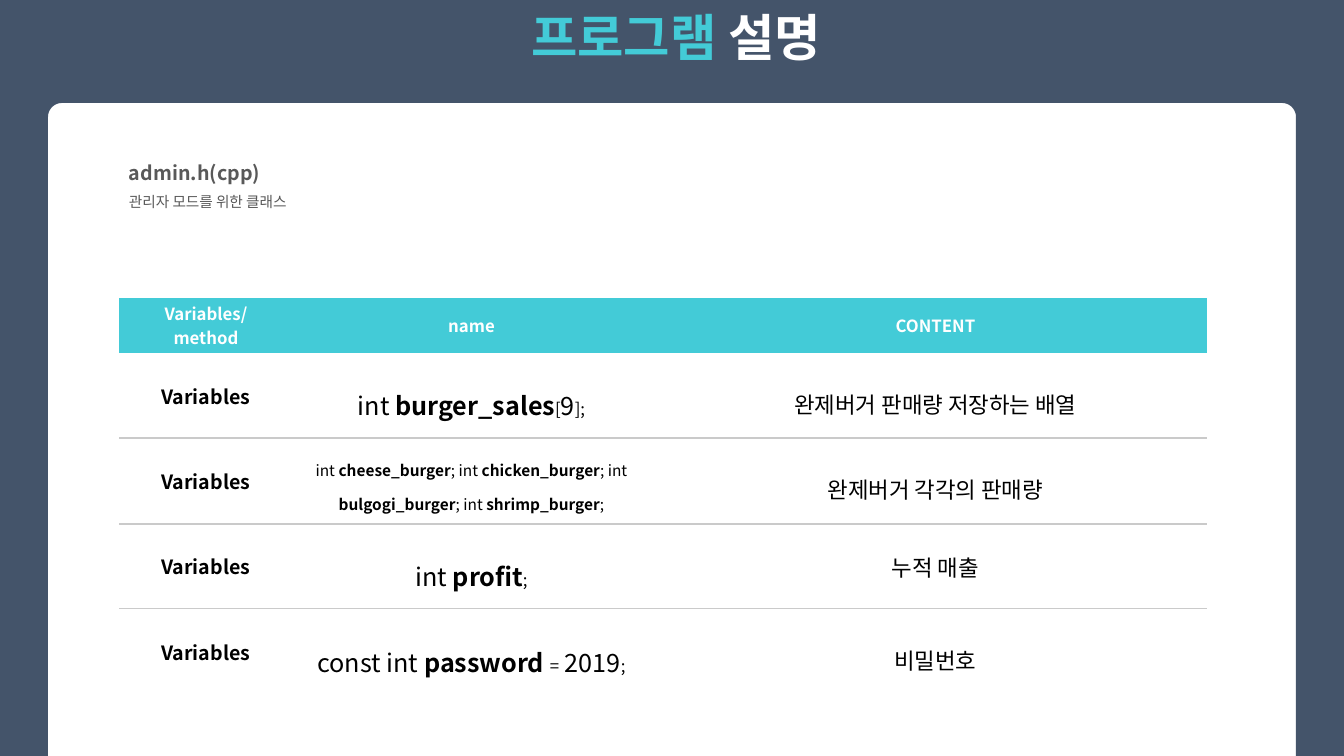
from math import cos, radians, sin

from lxml.etree import SubElement
from pptx import Presentation
from pptx.dml.color import RGBColor
from pptx.enum.text import MSO_ANCHOR, MSO_AUTO_SIZE, PP_ALIGN
from pptx.oxml import parse_xml
from pptx.oxml.ns import nsdecls, qn
from pptx.util import Pt

FONT = "Noto Sans CJK KR"
NAVY, TEAL, WHITE, BLACK, GREY, RULE = (
    "44546A", "43CBD7", "FFFFFF", "000000", "595959", "CACACA")
NO_STYLE = "{2D5ABB26-0587-4C30-8999-92F81FD0307C}"

TITLE = [("프로그램 ", TEAL), ("설명", WHITE)]
INTRO = [("admin.h(cpp)", 14, True), ("관리자 모드를 위한 클래스", 10.5, False)]
HEADER = [["Variables/", "method"], ["name"], ["CONTENT"]]
# kind, runs of the name (text, size, bold), content, line spacing of the content
ROWS = [
    ("Variables",
     [("int ", 18, False), ("burger_sales", 18, True), ("[", 12, False),
      ("9", 18, False), ("];", 12, False)],
     "완제버거 판매량 저장하는 배열", 1.5),
    ("Variables",
     [("int ", 11, False), ("cheese_burger", 11, True), ("; int ", 11, False),
      ("chicken_burger", 11, True), ("; int ", 11, False),
      ("bulgogi_burger", 11, True), ("; int ", 11, False),
      ("shrimp_burger", 11, True), (";", 11, False)],
     "완제버거 각각의 판매량", 1.5),
    ("Variables",
     [("int ", 18, False), ("profit", 18, True), (";", 12, False)],
     "누적 매출", 1),
    ("Variables",
     [("const int ", 18, False), ("password ", 18, True), ("=", 12, False),
      (" 2019", 18, False), (";", 12, False)],
     "비밀번호", 1.5),
]

SLIDE_W, SLIDE_H = 1344, 756
CARD_LEFT, CARD_TOP, CARD_RADIUS = 48, 103, 14
TABLE_LEFT, TABLE_TOP = 119, 298
COL_WIDTHS = [160, 371, 557]
ROW_HEIGHTS = [55, 85, 86, 85, 86]


def px(n):
    return round(n * 914400 / 100.8)


def rgb(value):
    return RGBColor.from_string(value)


def add_run(p, text, size=12, color=BLACK, bold=False):
    r = p.add_run()
    r.text = text
    r.font.size = Pt(size)
    r.font.bold = bold
    r.font.name = FONT
    r.font.color.rgb = rgb(color)
    SubElement(r.font._element, qn("a:ea"), typeface=FONT)


def set_frame(tf, wrap, top, bottom):
    tf.word_wrap = wrap
    tf.auto_size = MSO_AUTO_SIZE.NONE
    tf.margin_left = tf.margin_right = px(10)
    tf.margin_top, tf.margin_bottom = px(top), px(bottom)


def fill_cell(cell, paragraphs, spacing=1, pad=5):
    """Write paragraphs, each a list of (text, format) pairs, centred in a cell."""
    cell.vertical_anchor = MSO_ANCHOR.MIDDLE
    cell.margin_left, cell.margin_right = px(24), px(10)
    cell.margin_top = cell.margin_bottom = px(pad)
    tf = cell.text_frame
    for i, runs in enumerate(paragraphs):
        p = tf.add_paragraph() if i else tf.paragraphs[0]
        p.alignment = PP_ALIGN.CENTER
        p.line_spacing = spacing
        for text, style in runs:
            add_run(p, text, **style)


def rule_below(cell):
    cell._tc.get_or_add_tcPr().insert(0, parse_xml(
        f'<a:lnB {nsdecls("a")} w="12700"><a:solidFill>'
        f'<a:srgbClr val="{RULE}"/></a:solidFill></a:lnB>'))


def add_surround(slide):
    """Navy area around a white card with rounded top corners."""
    right = SLIDE_W - CARD_LEFT
    points = [(SLIDE_W, 0), (SLIDE_W, SLIDE_H), (right, SLIDE_H)]
    for center_x, start in ((right - CARD_RADIUS, 0),
                            (CARD_LEFT + CARD_RADIUS, 90)):
        for angle in range(start, start + 91, 10):
            points.append((center_x + CARD_RADIUS * cos(radians(angle)),
                           CARD_TOP + CARD_RADIUS * (1 - sin(radians(angle)))))
    points += [(CARD_LEFT, SLIDE_H), (0, SLIDE_H)]
    builder = slide.shapes.build_freeform(0, 0)
    builder.add_line_segments([(px(x), px(y)) for x, y in points])
    sp = builder.convert_to_shape()
    sp.shadow.inherit = False
    sp.fill.solid()
    sp.fill.fore_color.rgb = rgb(NAVY)
    sp.line.fill.background()


def add_title(slide):
    sp = slide.shapes.title
    sp.left, sp.top, sp.width, sp.height = px(513), 0, px(326), px(72)
    tf = sp.text_frame
    set_frame(tf, False, 0, 0)
    tf.vertical_anchor = MSO_ANCHOR.MIDDLE
    p = tf.paragraphs[0]
    p.alignment = PP_ALIGN.CENTER
    for text, color in TITLE:
        add_run(p, text, size=36, color=color, bold=True)


def add_intro(slide):
    sp = slide.shapes.add_textbox(px(119), px(144), px(651), px(84))
    tf = sp.text_frame
    set_frame(tf, True, 5, 5)
    for i, (text, size, bold) in enumerate(INTRO):
        p = tf.add_paragraph() if i else tf.paragraphs[0]
        p.line_spacing = 1.5
        add_run(p, text, size=size, color=GREY, bold=bold)


def add_members(slide):
    frame = slide.shapes.add_table(
        len(ROW_HEIGHTS), len(COL_WIDTHS), px(TABLE_LEFT), px(TABLE_TOP),
        px(sum(COL_WIDTHS)), px(sum(ROW_HEIGHTS)))
    table = frame.table
    table.horz_banding = False
    table._tbl.tblPr.find(qn("a:tableStyleId")).text = NO_STYLE
    for col, width in zip(table.columns, COL_WIDTHS):
        col.width = px(width)
    for row, height in zip(table.rows, ROW_HEIGHTS):
        row.height = px(height)

    for c, lines in enumerate(HEADER):
        cell = table.cell(0, c)
        fill_cell(cell, [[(line, dict(color=WHITE, bold=True))] for line in lines],
                  pad=3)
        cell.fill.solid()
        cell.fill.fore_color.rgb = rgb(TEAL)

    for r, (kind, name, content, spacing) in enumerate(ROWS, 1):
        name_runs = [(text, dict(size=size, bold=bold)) for text, size, bold in name]
        fill_cell(table.cell(r, 0), [[(kind, dict(size=14, bold=True))]])
        fill_cell(table.cell(r, 1), [name_runs], spacing=1.5)
        fill_cell(table.cell(r, 2), [[(content, dict(size=16))]], spacing=spacing)
        for cell in table.rows[r].cells:
            cell.fill.background()
            if r < len(ROWS):
                rule_below(cell)


def main():
    prs = Presentation()
    prs.slide_width, prs.slide_height = px(SLIDE_W), px(SLIDE_H)
    slide = prs.slides.add_slide(prs.slide_layouts[5])
    add_surround(slide)
    title = slide.shapes.title._element
    slide.shapes._spTree.append(title)
    add_title(slide)
    add_members(slide)
    add_intro(slide)
    prs.save("out.pptx")


if __name__ == "__main__":
    main()
